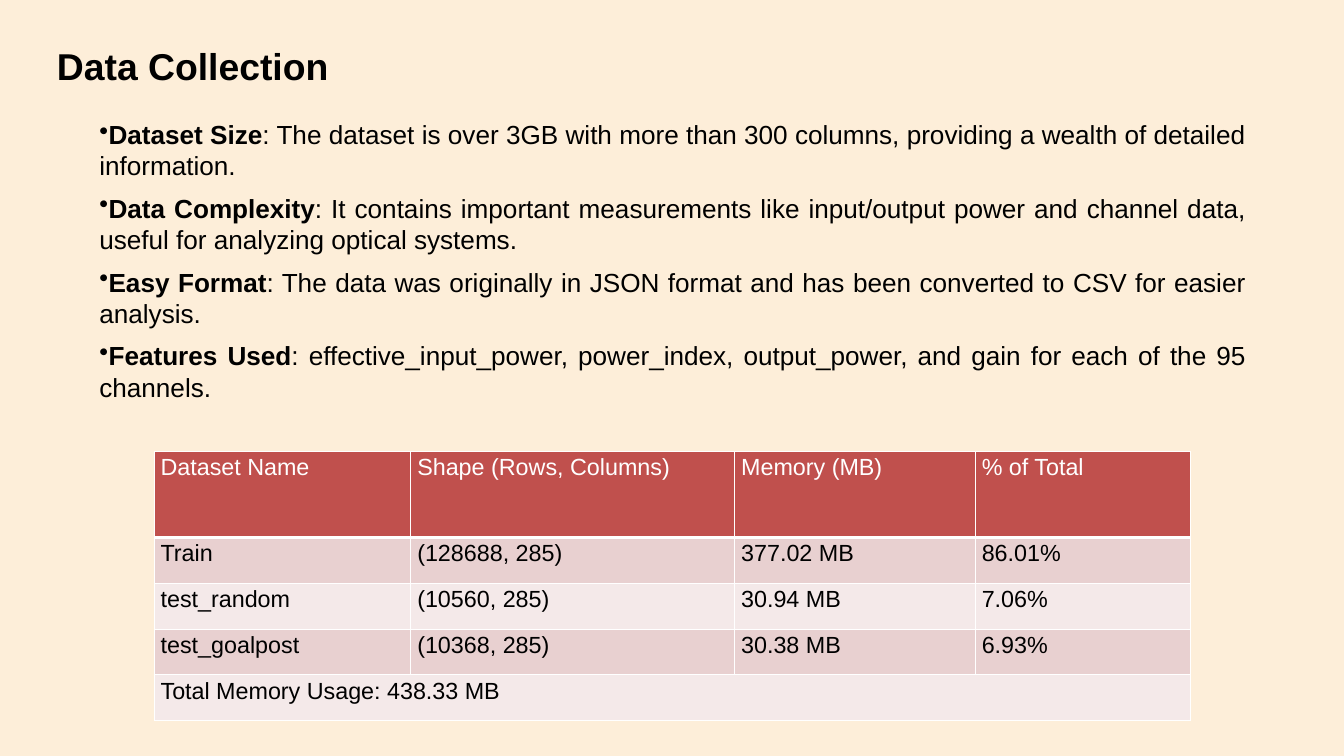
from lxml.etree import SubElement
from pptx import Presentation
from pptx.dml.color import RGBColor
from pptx.enum.text import PP_ALIGN
from pptx.oxml.ns import qn
from pptx.util import Inches, Pt

TITLE = "Data Collection"
POINTS = [
    ("Dataset Size", ": The dataset is over 3GB with more than 300 columns, "
                     "providing a wealth of detailed information."),
    ("Data Complexity", ": It contains important measurements like input/output power "
                        "and channel data, useful for analyzing optical systems."),
    ("Easy Format", ": The data was originally in JSON format and has been "
                    "converted to CSV for easier analysis."),
    ("Features Used", ": effective_input_power, power_index, output_power, "
                      "and gain for each of the 95 channels."),
]
ROWS = [
    ("Dataset Name", "Shape (Rows, Columns)", "Memory (MB)", "% of Total"),
    ("Train", "(128688, 285)", "377.02 MB", "86.01%"),
    ("test_random", "(10560, 285)", "30.94 MB", "7.06%"),
    ("test_goalpost", "(10368, 285)", "30.38 MB", "6.93%"),
    ("Total Memory Usage: 438.33 MB", "", "", ""),
]
COL_WIDTHS = [3.82, 4.82, 3.58, 3.2]
HEADER_HEIGHT, ROW_HEIGHT = 1.29, 0.68
BACKGROUND, BLACK, WHITE = "FDEED9", "000000", "FFFFFF"
HEADER, BANDS = "C0504D", ("F4E9E9", "E8D0D0")


def rgb(value):
    return RGBColor.from_string(value)


def add_run(p, text, size, color=BLACK, bold=False):
    r = p.add_run()
    r.text = text
    r.font.name, r.font.size, r.font.bold = "Arial", Pt(size), bold
    r.font.color.rgb = rgb(color)


def add_text_frame(s, *box):
    tf = s.shapes.add_textbox(*map(Inches, box)).text_frame
    tf.word_wrap = True
    return tf


def add_bullet(p):
    SubElement(p._p.get_or_add_pPr(), qn("a:buChar"), char="•")


def set_borders(cell, bottom):
    tc_pr = cell._tc.get_or_add_tcPr()
    for index, side in enumerate("LRTB"):
        width = bottom if side == "B" else 1
        ln = tc_pr.makeelement(qn(f"a:ln{side}"), {"w": str(Pt(width))})
        fill = SubElement(ln, qn("a:solidFill"))
        SubElement(fill, qn("a:srgbClr"), val=WHITE)
        tc_pr.insert(index, ln)


def add_points(s):
    tf = add_text_frame(s, 1.38, 1.71, 17.25, 4.67)
    for i, (label, detail) in enumerate(POINTS):
        p = tf.add_paragraph() if i else tf.paragraphs[0]
        p.alignment, p.line_spacing, p.space_after = PP_ALIGN.JUSTIFY, Pt(33.6), Pt(12)
        add_bullet(p)
        add_run(p, label, 28, bold=True)
        add_run(p, detail, 28)


def add_datasets(s):
    heights = [HEADER_HEIGHT] + [ROW_HEIGHT] * (len(ROWS) - 1)
    box = (2.29, 6.71, sum(COL_WIDTHS), sum(heights))
    table = s.shapes.add_table(len(ROWS), len(COL_WIDTHS), *map(Inches, box)).table
    for column, width in zip(table.columns, COL_WIDTHS):
        column.width = Inches(width)
    for i, (values, height) in enumerate(zip(ROWS, heights)):
        table.rows[i].height = Inches(height)
        for j, value in enumerate(values):
            cell = table.cell(i, j)
            cell.fill.solid()
            cell.fill.fore_color.rgb = rgb(BANDS[i % 2] if i else HEADER)
            set_borders(cell, 1 if i else 3)
            if value:
                add_run(cell.text_frame.paragraphs[0], value, 25, BLACK if i else WHITE)
    last = len(ROWS) - 1
    table.cell(last, 0).merge(table.cell(last, len(COL_WIDTHS) - 1))


def main():
    """Build the data collection slide."""
    prs = Presentation()
    prs.slide_width, prs.slide_height = Inches(20), Inches(11.25)
    s = prs.slides.add_slide(prs.slide_layouts[6])
    s.background.fill.solid()
    s.background.fill.fore_color.rgb = rgb(BACKGROUND)
    title = add_text_frame(s, 0.75, 0.6, 6.67, 0.77)
    add_run(title.paragraphs[0], TITLE, 40, bold=True)
    add_points(s)
    add_datasets(s)
    prs.save("out.pptx")


if __name__ == "__main__":
    main()
